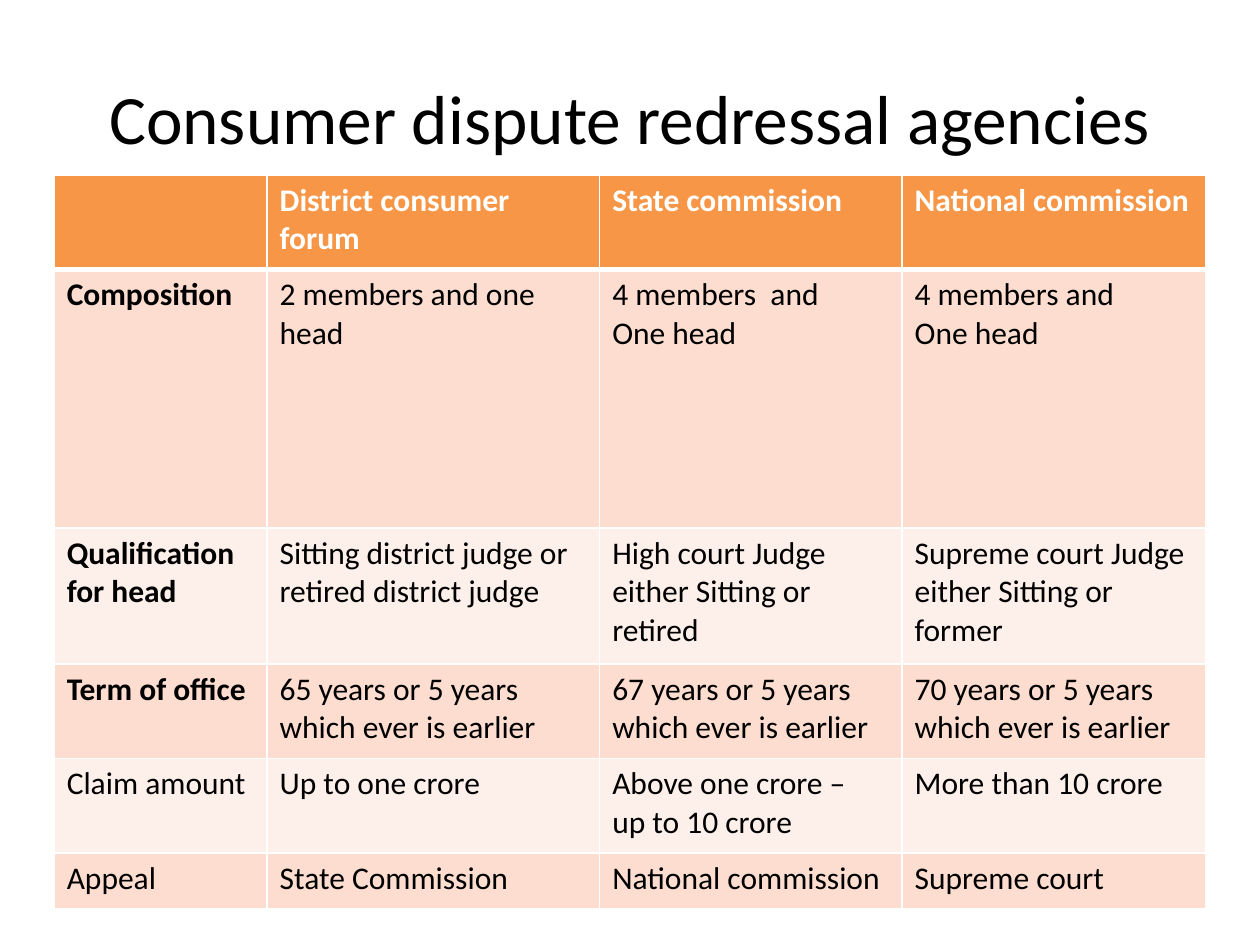
import pptx
import pptx.util
import pptx.dml.color
import pptx.enum.text
import pptx.oxml.ns
from lxml import etree
from pptx.util import Inches

BLACK = pptx.dml.color.RGBColor(0x00, 0x00, 0x00)
WHITE = pptx.dml.color.RGBColor(0xFF, 0xFF, 0xFF)
ORANGE = pptx.dml.color.RGBColor(0xF7, 0x96, 0x46)
PEACH = pptx.dml.color.RGBColor(0xFC, 0xDD, 0xCF)
PALE_PEACH = pptx.dml.color.RGBColor(0xFD, 0xEF, 0xE9)

COLUMN_WIDTHS = [1.69, 2.64, 2.4, 2.41]
ROW_HEIGHTS = [0.75, 2.05, 1.08, 0.75, 0.75, 0.44]
BOLD_LABEL_ROWS = 4
AGENCIES = [
    ["", "District consumer forum", "State commission ", "National commission "],
    ["Composition ", "2 members and one head", "4 members  and\nOne head",
     "4 members and\nOne head"],
    ["Qualification for head", "Sitting district judge or retired district judge",
     "High court Judge either Sitting or retired",
     "Supreme court Judge either Sitting or former"],
    ["Term of office ", "65 years or 5 years which ever is earlier",
     "67 years or 5 years which ever is earlier",
     "70 years or 5 years which ever is earlier"],
    ["Claim amount", "Up to one crore", "Above one crore –  up to 10 crore",
     "More than 10 crore"],
    ["Appeal", "State Commission", "National commission ", "Supreme court "],
]


def format_text(frame, size, color, bold=False):
    for para in frame.paragraphs:
        for span in para.runs:
            span.font.name = "Calibri"
            span.font.size = pptx.util.Pt(size)
            span.font.color.rgb = color
            span.font.bold = bold


def add_borders(cell, widths):
    properties = cell._tc.get_or_add_tcPr()
    for position, (side, width) in enumerate(widths.items()):
        line = etree.Element(pptx.oxml.ns.qn("a:ln" + side),
                             w=str(pptx.util.Pt(width)))
        fill = etree.SubElement(line, pptx.oxml.ns.qn("a:solidFill"))
        etree.SubElement(fill, pptx.oxml.ns.qn("a:srgbClr"), val=str(WHITE))
        properties.insert(position, line)


deck = pptx.Presentation()
deck.slide_width = Inches(10)
deck.slide_height = Inches(7.5)
page = deck.slides.add_slide(deck.slide_layouts[6])

# Title
box = page.shapes.add_textbox(Inches(0.5), Inches(0.3), Inches(9), Inches(1.25))
title = box.text_frame
title.word_wrap = True
title.vertical_anchor = pptx.enum.text.MSO_ANCHOR.MIDDLE
title.text = "Consumer dispute redressal agencies"
title.paragraphs[0].alignment = pptx.enum.text.PP_ALIGN.CENTER
format_text(title, 39.6, BLACK)

# Table grid
table = page.shapes.add_table(
    len(ROW_HEIGHTS), len(COLUMN_WIDTHS), Inches(0.43), Inches(1.39),
    Inches(sum(COLUMN_WIDTHS)), Inches(sum(ROW_HEIGHTS))).table
for column, width in zip(table.columns, COLUMN_WIDTHS):
    column.width = Inches(width)
for row, height in zip(table.rows, ROW_HEIGHTS):
    row.height = Inches(height)

# Cells: orange header, then alternating bands
for row_index, texts in enumerate(AGENCIES):
    header = row_index == 0
    band = ORANGE if header else PEACH if row_index % 2 else PALE_PEACH
    for column_index, text in enumerate(texts):
        cell = table.cell(row_index, column_index)
        cell.fill.solid()
        cell.fill.fore_color.rgb = band
        cell.text_frame.text = text
        label = column_index == 0 and row_index < BOLD_LABEL_ROWS
        format_text(cell.text_frame, 18, WHITE if header else BLACK, header or label)
        add_borders(cell, {"L": 1, "R": 1, "T": 3 if row_index == 1 else 1,
                           "B": 3 if header else 1})

deck.save("out.pptx")
